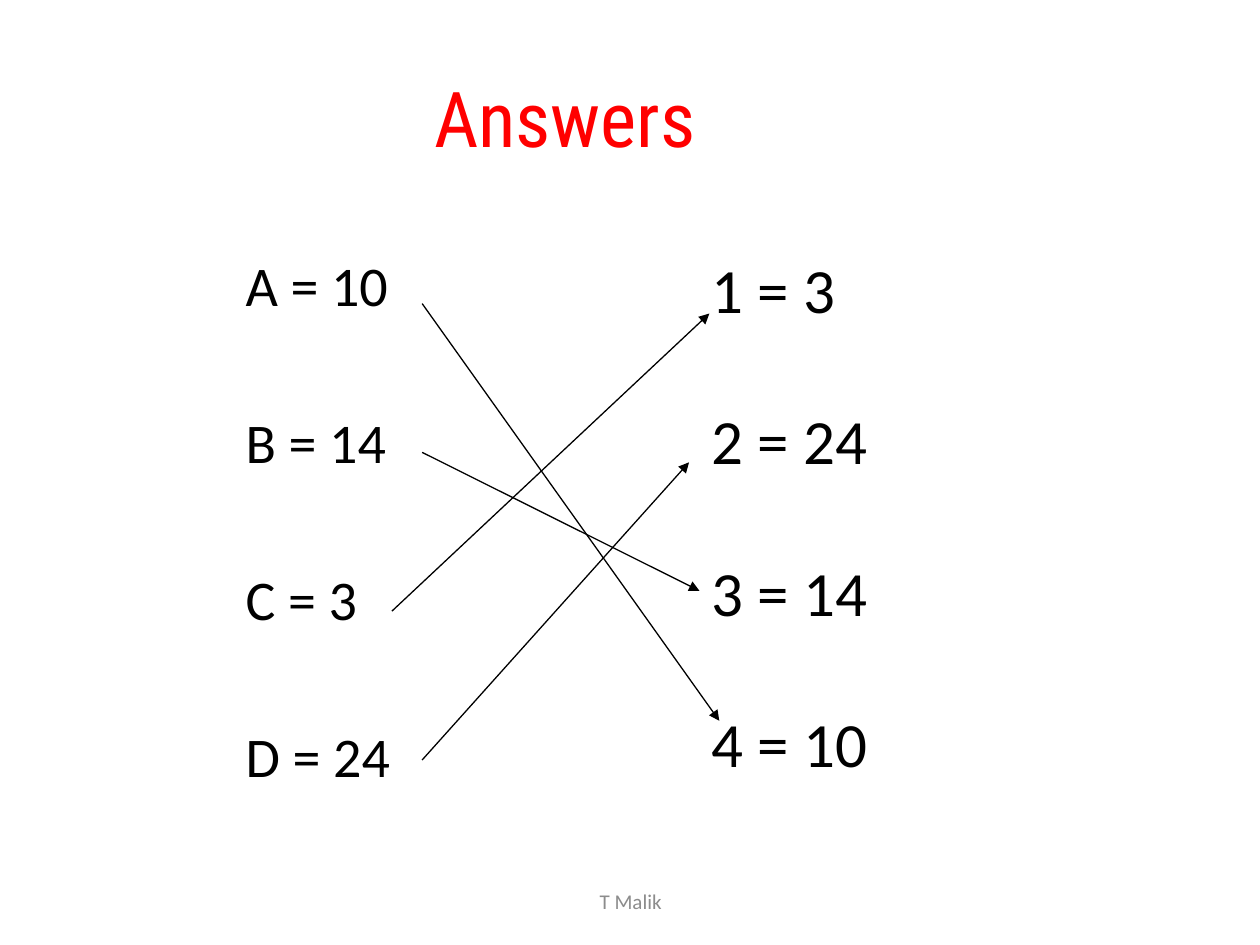
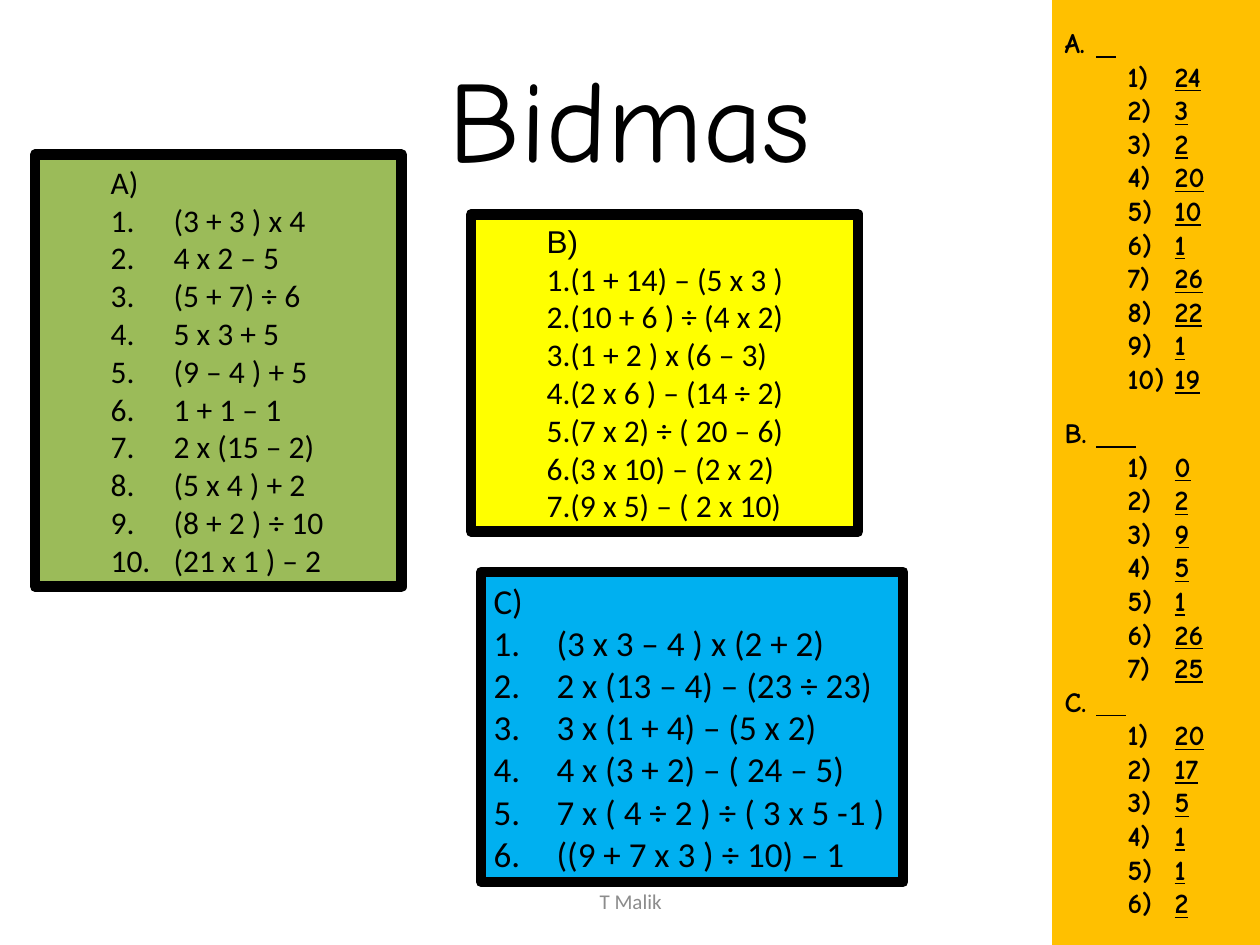
import pptx
import pptx.dml.color
import pptx.enum.shapes
import pptx.enum.text
import pptx.oxml
import pptx.oxml.ns
import pptx.util
from lxml import etree

Cm = pptx.util.Cm
Pt = pptx.util.Pt
ALIGN = pptx.enum.text.PP_ALIGN
ANCHOR = pptx.enum.text.MSO_ANCHOR
KIND = pptx.enum.shapes.MSO_SHAPE
WIDE, HIGH = 25.4, 19.05
BLACK = "000000"
BODY, HAND = "Calibri", "Comic Neue"

LEFT = ["A = 10", "B = 14", "C = 3", "D = 24"]
RIGHT = ["1 = 3", "2 = 24", "3 = 14", "4 = 10"]
LINKS = [
    (8.51, 6.12, 14.5, 14.53),
    (8.51, 9.12, 14.1, 11.91),
    (7.9, 12.32, 14.3, 6.32),
    (8.51, 15.32, 13.89, 9.32),
]
SUMS_A = ["(3 + 3 ) x 4", "4 x 2 – 5", "(5 + 7) ÷ 6", "5 x 3 + 5",
          "(9 – 4 ) + 5", "1 + 1 – 1", "2 x (15 – 2)", "(5 x 4 ) + 2",
          "(8 + 2 ) ÷ 10", "(21 x 1 ) – 2"]
SUMS_B = ["(1 + 14) – (5 x 3 )", "(10 + 6 ) ÷ (4 x 2)", "(1 + 2 ) x (6 – 3)",
          "(2 x 6 ) – (14 ÷ 2)", "(7 x 2) ÷ ( 20 – 6)", "(3 x 10) – (2 x 2)",
          "(9 x 5) – ( 2 x 10)"]
SUMS_C = ["(3 x 3 – 4 ) x (2 + 2)", "2 x (13 – 4) – (23 ÷ 23)",
          "3 x (1 + 4) – (5 x 2)", "4 x (3 + 2) – ( 24 – 5)",
          "7 x ( 4 ÷ 2 ) ÷ ( 3 x 5 -1 )", "((9 + 7 x 3 ) ÷ 10) – 1"]
KEYS = [
    (2, 0, [24, 3, 2, 20, 10, 1, 26, 22, 1, 19]),
    (4, 11.7, [0, 2, 9, 5, 1, 26, 25]),
    (3, 0, [20, 17, 5, 1, 1, 2]),
]


def paint(hue):
    """Turn a hex string into a colour."""
    return pptx.dml.color.RGBColor.from_string(hue)


def frame_of(shape, anchor):
    """Return the shape's text frame, wrapped and anchored."""
    frame = shape.text_frame
    frame.word_wrap = True
    frame.vertical_anchor = anchor
    return frame


def add_line(frame, text, size, font=BODY, hue=BLACK, align=ALIGN.LEFT,
             gap=0, level=0, margin=0, hang=0, number=None, mark=False):
    """Add one paragraph of one run, numbered when a scheme is given."""
    first = frame.paragraphs[0]
    para = frame.add_paragraph() if first.runs else first
    props = para._p.get_or_add_pPr()
    props.set("marL", str(Cm(margin)))
    props.set("indent", str(-Cm(hang)))
    if number:
        bullet = etree.SubElement(props, pptx.oxml.ns.qn("a:buAutoNum"))
        bullet.set("type", number)
    para.level = level
    para.alignment = align
    if gap:
        para.space_before = Pt(gap)
    run = para.add_run()
    run.text = text
    run.font.size = Pt(size)
    run.font.name = font
    run.font.color.rgb = paint(hue)
    if mark:
        run.font.bold = run.font.underline = True


def add_text(slide, box, lines, anchor=ANCHOR.MIDDLE, gap=0, **style):
    """Place a text box with evenly spaced lines."""
    frame = frame_of(slide.shapes.add_textbox(*map(Cm, box)), anchor)
    for i, text in enumerate(lines):
        add_line(frame, text, gap=gap if i else 0, **style)


def add_title(slide, text, width, **style):
    """Place the centred slide title."""
    add_text(slide, (1.27, 0.76, width, 3.18), [text], align=ALIGN.CENTER, **style)


def add_foot(slide):
    """Place the author's name at the foot."""
    add_text(slide, (8.69, 17.65, 8.05, 1.02), ["T Malik"],
             size=12, hue="8C8C8C", align=ALIGN.CENTER)


def add_arrow(slide, x1, y1, x2, y2):
    """Draw a thin black arrow."""
    line = slide.shapes.add_connector(
        pptx.enum.shapes.MSO_CONNECTOR.STRAIGHT, Cm(x1), Cm(y1), Cm(x2), Cm(y2))
    line.line.color.rgb = paint(BLACK)
    line.line.width = Pt(0.75)
    tail = etree.SubElement(line.line._get_or_add_ln(), pptx.oxml.ns.qn("a:tailEnd"))
    tail.set("type", "triangle")
    etree.SubElement(line._element.spPr, pptx.oxml.ns.qn("a:effectLst"))


def add_panel(slide, box, fill, edge=0):
    """Draw a filled box and return its text frame."""
    panel = slide.shapes.add_shape(KIND.RECTANGLE, *map(Cm, box))
    panel.shadow.inherit = False
    panel.fill.solid()
    panel.fill.fore_color.rgb = paint(fill)
    if edge:
        panel.line.color.rgb = paint(BLACK)
        panel.line.width = Pt(edge)
    else:
        panel.line.fill.background()
    return frame_of(panel, ANCHOR.MIDDLE)


def add_sums(slide, box, fill, head, sums, font=BODY, **style):
    """Fill a framed box with a heading and numbered sums."""
    frame = add_panel(slide, box, fill, 6)
    add_line(frame, head, font=font, **style)
    for text in sums:
        add_line(frame, text, number="arabicPeriod", **style)


def add_keys(slide, box):
    """Fill the side band with the answers to each set."""
    frame = add_panel(slide, box, "FFC000")
    style = dict(size=16, font=HAND, mark=True)
    for blank, gap, keys in KEYS:
        add_line(frame, " " * blank, gap=gap, margin=0.64, hang=0.64,
                 number="alphaUcPeriod", **style)
        for key in keys:
            add_line(frame, str(key), level=1, margin=2.22, hang=0.95,
                     number="arabicParenR", **style)


def match_slide(slide):
    """Build the slide that joins equal answers."""
    add_title(slide, "Answers", 20.24, size=44, font="Roboto Condensed", hue="FF0000")
    add_text(slide, (4.7, 4.93, 4.83, 12.57), LEFT, ANCHOR.TOP, gap=51.3, size=32)
    add_text(slide, (14.1, 4.93, 6.2, 12.98), RIGHT, ANCHOR.TOP, gap=43.2, size=36)
    for link in LINKS:
        add_arrow(slide, *link)
    add_foot(slide)


def sums_slide(slide):
    """Build the slide of exercises and answers."""
    add_title(slide, "Bidmas", 22.86, size=66, font=HAND)
    add_sums(slide, (0.71, 3.12, 7.39, 8.71), "9BBB59", "A)", SUMS_A,
             size=18, level=1, margin=2.54, hang=1.27)
    add_sums(slide, (9.5, 4.32, 7.8, 6.4), "FFFF00", "B)", SUMS_B,
             font="Arial", size=18, level=1, margin=1.27)
    add_sums(slide, (9.7, 11.53, 8.51, 6.25), "00B0F0", "C)", SUMS_C,
             size=20, align=ALIGN.JUSTIFY, margin=1.27, hang=1.27)
    add_keys(slide, (21.21, 0, WIDE - 21.21, HIGH))
    add_foot(slide)


def main():
    """Build and save the deck."""
    deck = pptx.Presentation()
    deck.slide_width, deck.slide_height = Cm(WIDE), Cm(HIGH)
    for build in (match_slide, sums_slide):
        build(deck.slides.add_slide(deck.slide_layouts[6]))
    deck.save("out.pptx")


if __name__ == "__main__":
    main()
